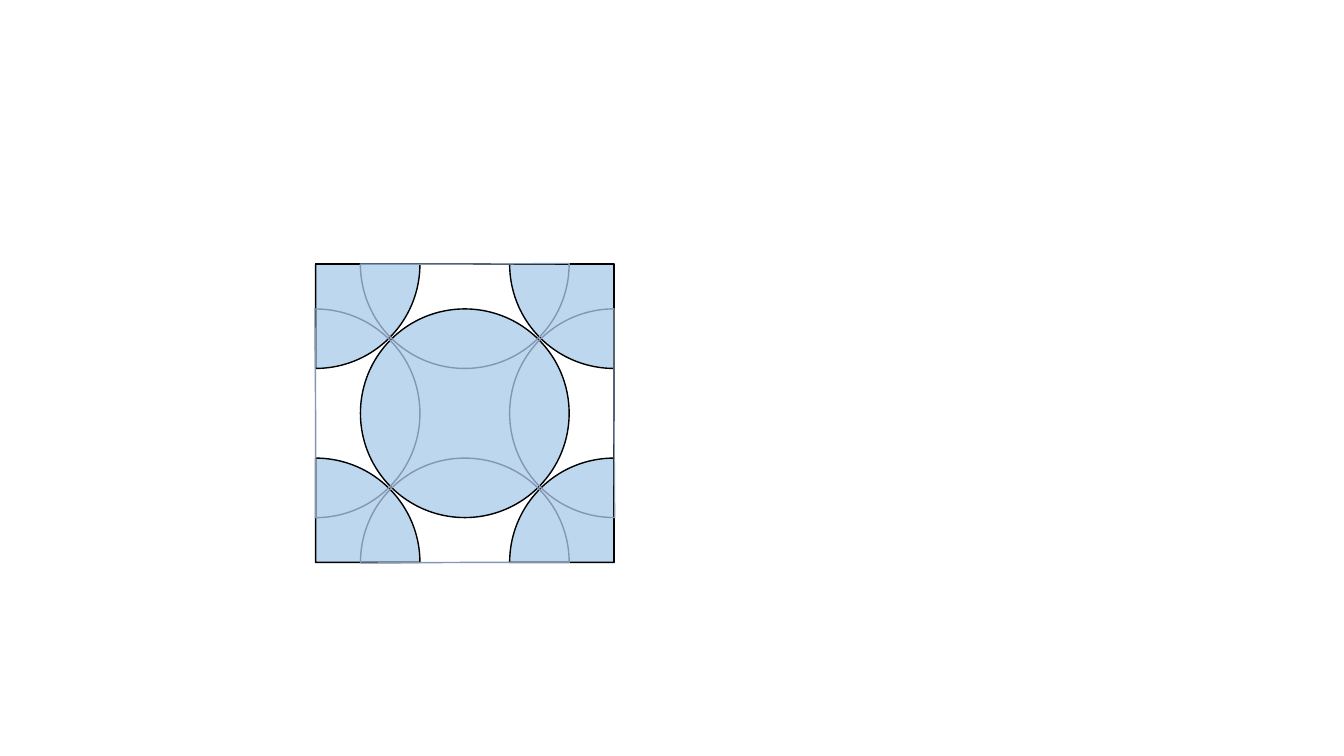
from dataclasses import dataclass

from pptx import Presentation
from pptx.dml.color import RGBColor
from pptx.enum.shapes import MSO_SHAPE as Preset
from pptx.shapes.autoshape import Shape
from pptx.shapes.shapetree import GroupShapes
from pptx.util import Emu, Pt

PX = 9144  # EMU in one px, 100 px to the inch

SLIDE_WIDTH, SLIDE_HEIGHT = 1333, 750
CENTER_X, CENTER_Y = 461, 410
SQUARE_SIDE = 296
HALF_SIDE = SQUARE_SIDE // 2
CIRCLE_DIAMETER = 207

LIGHT_BLUE = "BDD7EE"
BLACK = "000000"
GRAY_BLUE = "8497B0"

# Pie angles in units of 1/0.6 degree
QUARTER_START, HALF_START, SECTOR_END = 108, 53.79, 162


@dataclass(frozen=True)
class Sector:
    """Part of a circle centred on the square's edge; column and row are -1, 0 or 1."""
    column: int
    row: int
    rotation: int


CORNER_QUARTERS = [
    Sector(1, 1, 0),
    Sector(-1, -1, 180),
    Sector(1, -1, 270),
    Sector(-1, 1, 90),
]
SIDE_HALVES = [
    Sector(-1, 0, 180),
    Sector(1, 0, 0),
    Sector(0, -1, 270),
    Sector(0, 1, 90),
]


def px(length: float) -> Emu:
    return Emu(round(length * PX))


def rgb(color: str) -> RGBColor:
    return RGBColor.from_string(color)


def add_figure(shapes: GroupShapes, preset: Preset, center_x: int, center_y: int,
               size: int, line: str, fill: str | None = None) -> Shape:
    figure = shapes.add_shape(preset, px(center_x - size / 2), px(center_y - size / 2),
                              px(size), px(size))
    figure.shadow.inherit = False
    figure.line.color.rgb = rgb(line)
    figure.line.width = Pt(1)
    if fill:
        figure.fill.solid()
        figure.fill.fore_color.rgb = rgb(fill)
    else:
        figure.fill.background()
    return figure


def add_sector(shapes: GroupShapes, sector: Sector, start: float,
               line: str, fill: str | None = None) -> None:
    pie = add_figure(shapes, Preset.PIE, CENTER_X + sector.column * HALF_SIDE,
                     CENTER_Y + sector.row * HALF_SIDE, CIRCLE_DIAMETER, line, fill)
    pie.adjustments[0] = start
    pie.adjustments[1] = SECTOR_END
    pie.rotation = sector.rotation


def main() -> None:
    deck = Presentation()
    deck.slide_width, deck.slide_height = px(SLIDE_WIDTH), px(SLIDE_HEIGHT)
    slide = deck.slides.add_slide(deck.slide_layouts[6])
    tile = slide.shapes.add_group_shape().shapes

    for quarter in CORNER_QUARTERS:
        add_sector(tile, quarter, QUARTER_START, BLACK, LIGHT_BLUE)
    add_figure(tile, Preset.OVAL, CENTER_X, CENTER_Y, CIRCLE_DIAMETER, BLACK, LIGHT_BLUE)
    add_figure(tile, Preset.RECTANGLE, CENTER_X, CENTER_Y, SQUARE_SIDE, BLACK)
    for half in SIDE_HALVES:
        add_sector(tile, half, HALF_START, GRAY_BLUE)

    deck.save("out.pptx")


if __name__ == "__main__":
    main()
